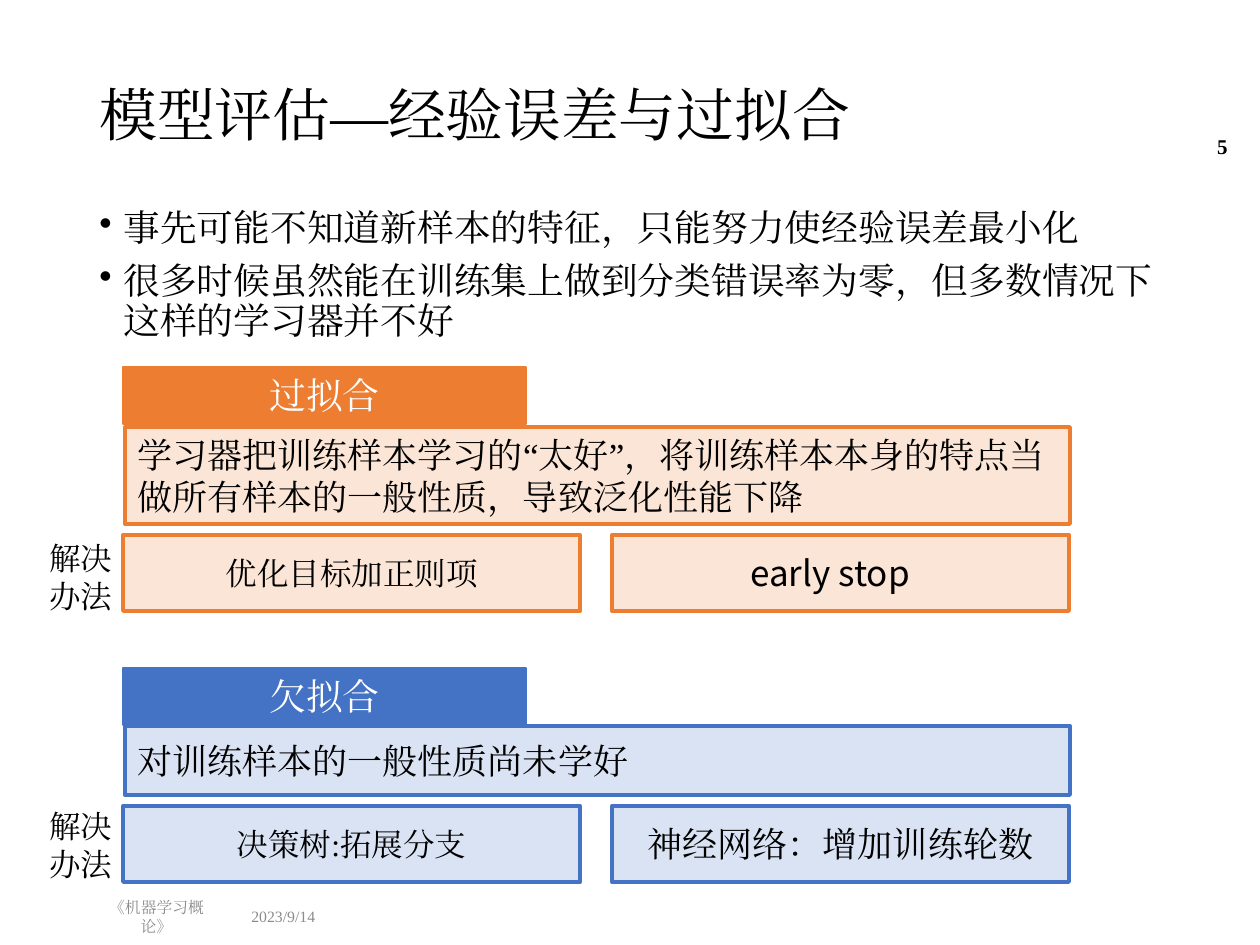
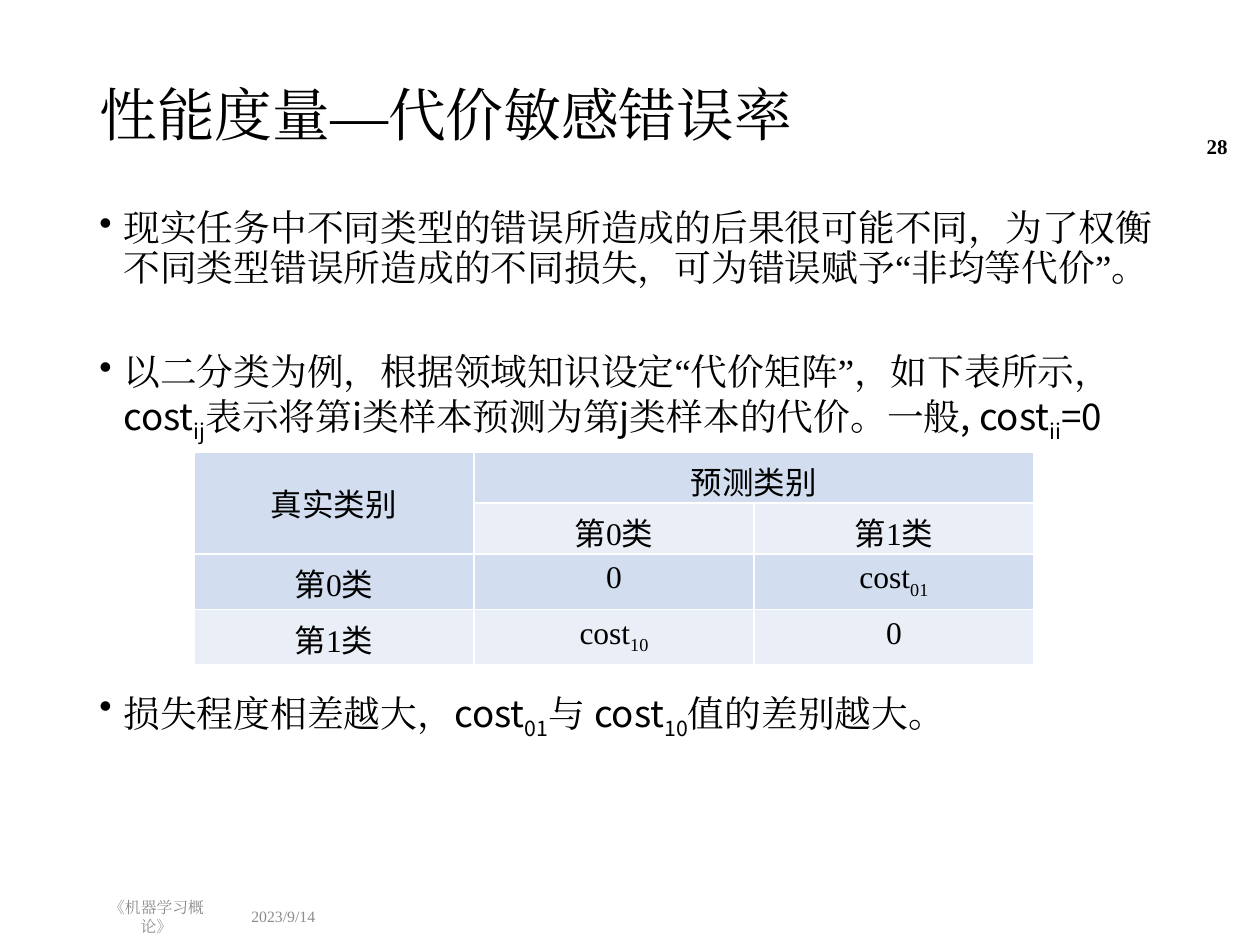
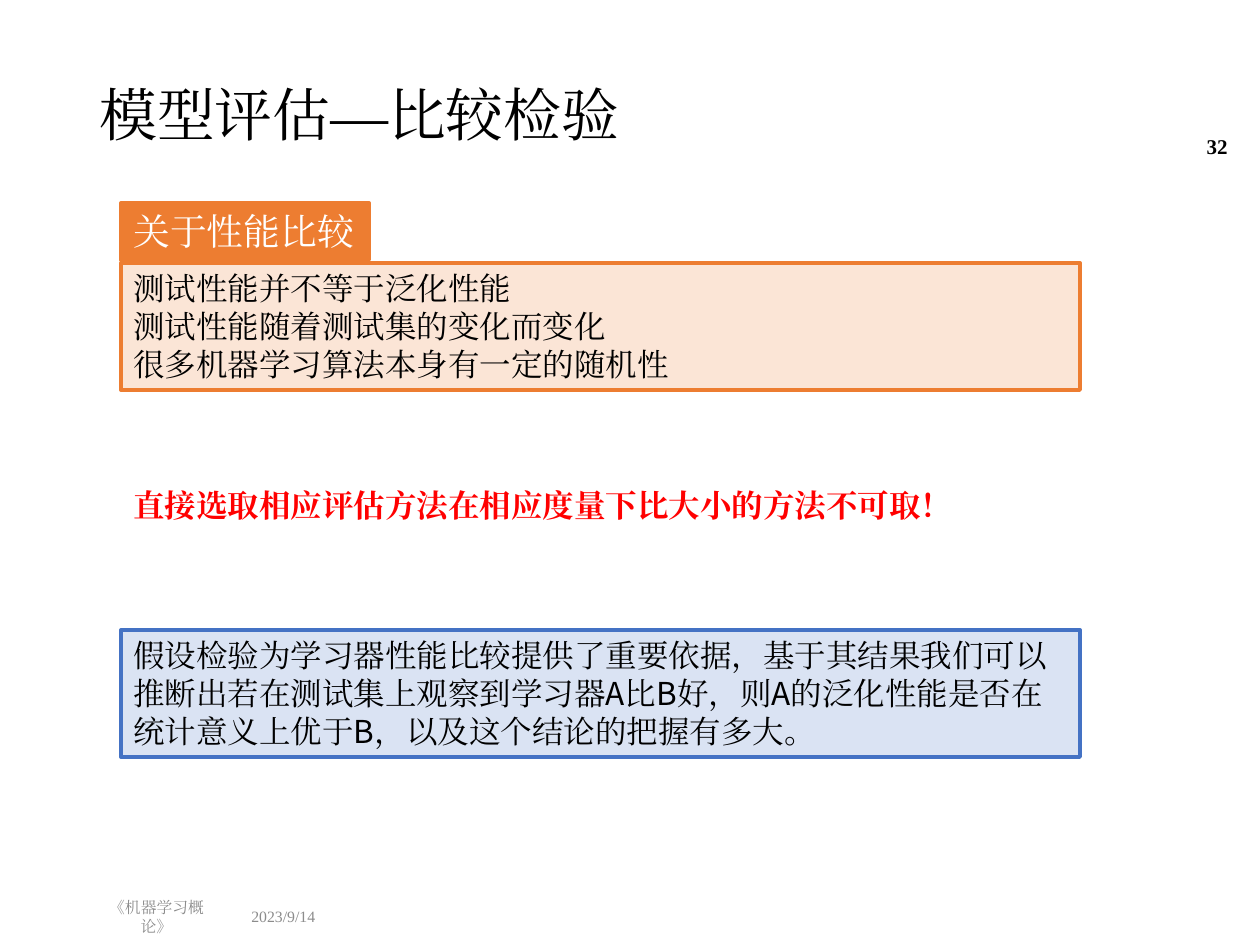
from dataclasses import dataclass

from lxml.etree import SubElement
from pptx import Presentation
from pptx.dml.color import RGBColor
from pptx.enum.shapes import MSO_SHAPE
from pptx.enum.text import MSO_ANCHOR, MSO_AUTO_SIZE, PP_ALIGN
from pptx.oxml.ns import qn
from pptx.slide import Slide
from pptx.text.text import TextFrame
from pptx.util import Pt

SCALE = 914400 / 126
SERIF, SANS = "Times New Roman", "Noto Sans CJK SC"
BLACK, WHITE, GREY, RED = "000000", "FFFFFF", "8C8C8C", "FF0000"
LEFT, MID, RIGHT = PP_ALIGN.LEFT, PP_ALIGN.CENTER, PP_ALIGN.RIGHT


@dataclass(frozen=True)
class Style:
    size: int
    color: str = BLACK
    font: str = SERIF
    asian: str = SERIF
    bold: bool = False
    align: PP_ALIGN = LEFT
    indent: int = 0
    hang: int = 0
    line: float = 1.0
    before: float = 0


@dataclass(frozen=True)
class Tone:
    line: str
    fill: str


@dataclass(frozen=True)
class Box:
    x: int
    y: int
    w: int
    h: int
    text: str
    style: Style
    fill: str = ""
    line: str = ""
    width: float = 2.25
    middle: bool = False
    grow: bool = False
    wrap: bool = True


@dataclass(frozen=True)
class Topic:
    tone: Tone
    name: str
    text: str
    cures: tuple[str, str]
    tops: tuple[int, int, int, int]
    height: int
    middle: bool
    last: Style


ORANGE = Tone("ED7D31", "FBE5D6")
BLUE = Tone("4472C4", "DAE3F3")
TITLE = Style(33, line=0.9)
NOTE = Style(9, GREY)
PAGE = Style(12, bold=True, align=RIGHT)
TAB = Style(21, WHITE, align=MID)
LARGE = Style(20, font=SANS)
SMALL = Style(18)
CENTER = Style(18, align=MID)
CELL = Style(18, asian=SANS, align=MID)


def px(value: float) -> int:
    return round(value * SCALE)


def color(code: str) -> RGBColor:
    return RGBColor.from_string(code)


def bullet(font: str = SERIF, before: float = 7.5) -> Style:
    return Style(21, font=font, indent=24, hang=24, line=0.9, before=before)


def write(frame: TextFrame, items: list[tuple[str, Style]]) -> None:
    for i, (text, style) in enumerate(items):
        para = frame.add_paragraph() if i else frame.paragraphs[0]
        para.alignment = style.align
        para.line_spacing = style.line
        para.space_before = Pt(style.before)
        font = para.font
        font.size, font.bold, font.name = Pt(style.size), style.bold, style.font
        font.color.rgb = color(style.color)
        props = para._p.get_or_add_pPr()
        props.set("marL", str(px(style.indent)))
        props.set("indent", str(px(-style.hang)))
        base = props.find(qn("a:defRPr"))
        SubElement(base, qn("a:ea")).set("typeface", style.asian)
        if style.hang:
            mark = SubElement(props, qn("a:buChar"))
            mark.set("char", "•")
            base.addprevious(mark)
        for j, part in enumerate(text.split("|")):
            if part:
                run = para.add_run()
                run.text = part
                if j % 2:
                    run.font._element.set("baseline", "-25000") if hasattr(
                        run.font, "_element") else run._r.get_or_add_rPr().set("baseline", "-25000")


def draw(slide: Slide, box: Box) -> TextFrame:
    place = px(box.x), px(box.y), px(box.w), px(box.h)
    if box.fill:
        shape = slide.shapes.add_shape(MSO_SHAPE.RECTANGLE, *place)
        shape.shadow.inherit = False
        shape.fill.solid()
        shape.fill.fore_color.rgb = color(box.fill)
        shape.line.color.rgb = color(box.line)
        shape.line.width = Pt(box.width)
    else:
        shape = slide.shapes.add_textbox(*place)
    frame = shape.text_frame
    frame.word_wrap = box.wrap
    frame.auto_size = MSO_AUTO_SIZE.SHAPE_TO_FIT_TEXT if box.grow else MSO_AUTO_SIZE.NONE
    frame.vertical_anchor = MSO_ANCHOR.MIDDLE if box.middle else MSO_ANCHOR.TOP
    if box.text:
        write(frame, [(line, box.style) for line in box.text.split("\n")])
    return frame


def start(deck: Presentation, title: str, page: int) -> Slide:
    slide = deck.slides.add_slide(deck.slide_layouts[6])
    for box in (
        Box(87, 50, 1086, 135, title, TITLE, middle=True),
        Box(239, 898, 115, 37, "2023/9/14", NOTE, middle=True),
        Box(87, 898, 139, 37, "《机器学习概论》", Style(9, GREY, align=MID), middle=True),
        Box(1153, 121, 87, 50, str(page), PAGE, middle=True),
    ):
        draw(slide, box)
    return slide


def body(slide: Slide, items: list[tuple[str, Style]]) -> None:
    write(draw(slide, Box(87, 204, 1086, 679, "", SMALL)), items)


def topic(slide: Slide, item: Topic) -> None:
    line, fill = item.tone.line, item.tone.fill
    tab, text, cure, label = item.tops
    draw(slide, Box(125, text, 945, item.height, item.text, LARGE, fill, line,
                    middle=item.middle, grow=True))
    draw(slide, Box(123, tab, 403, 57, item.name, TAB, line, line, 0.75, grow=True))
    for i, (words, style) in enumerate(zip(item.cures, (CENTER, item.last))):
        draw(slide, Box(123 + 489 * i, cure, 457, 76, words, style, fill, line, middle=True))
    draw(slide, Box(37, label, 95, 89, "解决办法", SMALL, grow=True))


def errors(deck: Presentation) -> None:
    slide = start(deck, "模型评估—经验误差与过拟合", 5)
    body(slide, [
        ("事先可能不知道新样本的特征，只能努力使经验误差最小化", bullet()),
        ("很多时候虽然能在训练集上做到分类错误率为零，但多数情况下这样的学习器并不好", bullet()),
    ])
    topic(slide, Topic(
        ORANGE, "过拟合",
        "学习器把训练样本学习的“太好”，将训练样本本身的特点当做所有样本的一般性质，导致泛化性能下降",
        ("优化目标加正则项", "early stop"), (367, 427, 535, 533), 97, False,
        Style(20, font=SANS, indent=126)))
    topic(slide, Topic(
        BLUE, "欠拟合", "对训练样本的一般性质尚未学好",
        ("决策树:拓展分支", "神经网络：增加训练轮数"), (668, 726, 806, 801), 69, True,
        Style(20, font=SANS, align=MID)))


def costs(deck: Presentation) -> None:
    slide = start(deck, "性能度量—代价敏感错误率", 28)
    body(slide, [
        ("现实任务中不同类型的错误所造成的后果很可能不同，为了权衡不同类型错误所造成的不同损失，"
         "可为错误赋予“非均等代价”。", bullet()),
        ("以二分类为例，根据领域知识设定“代价矩阵”，如下表所示，cost|ij|表示将第i类样本预测为"
         "第j类样本的代价。一般, cost|ii|=0", bullet(SANS, 37)),
        ("损失程度相差越大，cost|01|与 cost|10|值的差别越大。", bullet(SANS, 144)),
    ])
    rows = [
        ["真实类别", "预测类别", ""],
        ["", "第0类", "第1类"],
        ["第0类", "0", "cost|01|"],
        ["第1类", "cost|10|", "0"],
    ]
    table = slide.shapes.add_table(4, 3, px(194), px(452), px(840), px(204)).table
    table.first_row = table.horz_banding = False
    for r, row in enumerate(rows):
        for c, text in enumerate(row):
            cell = table.cell(r, c)
            props = cell._tc.get_or_add_tcPr()
            for side in ("lnL", "lnR", "lnT", "lnB"):
                edge = SubElement(props, qn(f"a:{side}"), w=str(Pt(1)))
                paint = SubElement(edge, qn("a:solidFill"))
                SubElement(paint, qn("a:srgbClr"), val=WHITE)
            cell.fill.solid()
            cell.fill.fore_color.rgb = color("EAEFF7" if r % 2 else "D2DEEF")
            cell.vertical_anchor = MSO_ANCHOR.TOP if r > 1 else MSO_ANCHOR.MIDDLE
            if text:
                write(cell.text_frame, [(text, CELL)])
    table.cell(0, 0).merge(table.cell(1, 0))
    table.cell(0, 1).merge(table.cell(0, 2))


def tests(deck: Presentation) -> None:
    slide = start(deck, "模型评估—比较检验", 32)
    for box in (
        Box(121, 263, 959, 127,
            "测试性能并不等于泛化性能\n测试性能随着测试集的变化而变化\n很多机器学习算法本身有一定的随机性",
            SMALL, ORANGE.fill, ORANGE.line, grow=True),
        Box(121, 203, 248, 57, "关于性能比较", Style(21, WHITE),
            ORANGE.line, ORANGE.line, grow=True, wrap=False),
        Box(121, 480, 814, 50, "直接选取相应评估方法在相应度量下比大小的方法不可取！",
            Style(18, RED, SANS, bold=True), grow=True),
        Box(121, 630, 959, 127,
            "假设检验为学习器性能比较提供了重要依据，基于其结果我们可以推断出若在测试集上观察到"
            "学习器A比B好，则A的泛化性能是否在统计意义上优于B，以及这个结论的把握有多大。",
            Style(18, font=SANS), BLUE.fill, BLUE.line, grow=True),
    ):
        draw(slide, box)


def main() -> None:
    deck = Presentation()
    deck.slide_width, deck.slide_height = px(1260), px(945)
    for build in (errors, costs, tests):
        build(deck)
    deck.save("out.pptx")


if __name__ == "__main__":
    main()
